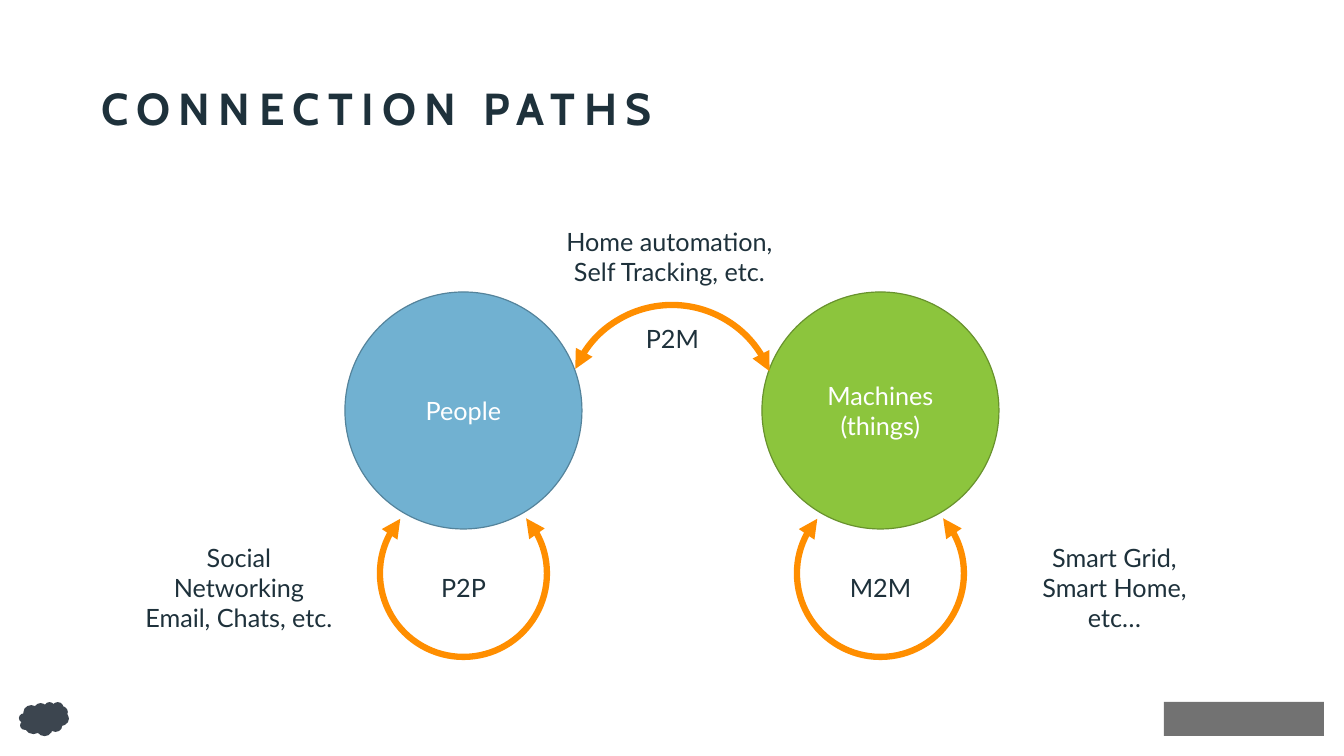
from lxml.etree import SubElement
from pptx import Presentation
from pptx.dml.color import RGBColor
from pptx.enum.shapes import MSO_SHAPE as SHAPE
from pptx.enum.text import MSO_ANCHOR as ANCHOR, MSO_AUTO_SIZE as FIT, PP_ALIGN as ALIGN
from pptx.oxml.ns import qn
from pptx.util import Emu, Pt

COLORS = {
    "dark": "1E313B", "white": "FFFFFF", "arrow": "FF8E00",
    "people": "71B1D1", "people_edge": "54839B",
    "machines": "8CC53D", "machines_edge": "68922D",
    "cloud": "3C454F", "badge": "727272",
}
LOOP = (191.209, 132.536)
BRIDGE = (121.774, 202.993)


def px(n):
    return Emu(round(n * 914400 / 100.8))


def box(*lengths):
    return [px(n) for n in lengths]


def color(name):
    return RGBColor.from_string(COLORS[name])


def write(tf, text, size=18, font="Lato", fill="dark", bold=False,
          align=ALIGN.CENTER, anchor=ANCHOR.MIDDLE, wrap=True, spacing=None, track=None):
    """Fill a text frame: newline starts a paragraph, \\v breaks a line."""
    tf.word_wrap = wrap
    tf.auto_size = FIT.NONE
    tf.vertical_anchor = anchor
    for i, line in enumerate(text.split("\n")):
        p = tf.paragraphs[0] if i == 0 else tf.add_paragraph()
        p.text = line
        p.alignment = align
        p.line_spacing = spacing
        for r in p.runs:
            r.font.size, r.font.name, r.font.bold = Pt(size), font, bold
            r.font.color.rgb = color(fill)
            if track:
                r.font._element.set("spc", str(track * 100))


def add_shape(s, kind, at, fill=None, line=None, width=0.85):
    sp = s.shapes.add_shape(kind, *box(*at))
    sp.shadow.inherit = False
    if fill:
        sp.fill.solid()
        sp.fill.fore_color.rgb = color(fill)
    else:
        sp.fill.background()
    if line:
        sp.line.color.rgb = color(line)
        sp.line.width = Pt(width)
    else:
        sp.line.fill.background()
    return sp


def add_circle(s, left, text, fill):
    sp = add_shape(s, SHAPE.OVAL, (left, 292, 237, 237), fill, fill + "_edge")
    write(sp.text_frame, text, fill="white")


def add_arc(s, left, top, size, angles, text):
    sp = add_shape(s, SHAPE.ARC, (left, top, size, size), line="arrow", width=4.5)
    for i, angle in enumerate(angles):
        sp.adjustments[i] = angle
    ln = sp.line._get_or_add_ln()
    for end in ("a:headEnd", "a:tailEnd"):
        SubElement(ln, qn(end), type="triangle")
    write(sp.text_frame, text)


def add_label(s, at, text):
    sp = s.shapes.add_textbox(*box(*at))
    write(sp.text_frame, text, anchor=ANCHOR.TOP, wrap=False)


def main():
    prs = Presentation()
    prs.slide_width, prs.slide_height = box(1344, 756)
    s = prs.slides.add_slide(prs.slide_layouts[5])

    # Corner marks
    add_shape(s, SHAPE.CLOUD, (19, 702, 50, 34), "cloud")
    add_shape(s, SHAPE.RECTANGLE, (1164, 702, 160, 34), "badge")

    # Title
    title = s.shapes.title
    title.left, title.top, title.width, title.height = box(91, 38, 1159, 146)
    write(title.text_frame, "CONNECTION PATHS", size=32, font="Cabin", bold=True,
          align=ALIGN.LEFT, spacing=0.9, track=6)

    # The two parties
    add_circle(s, 345, "People", "people")
    add_circle(s, 762, "Machines\v(things)", "machines")

    # Paths between them and back to themselves
    add_arc(s, 380, 490, 167, LOOP, "P2P")
    add_arc(s, 567, 305, 210, BRIDGE, "P2M")
    add_arc(s, 797, 490, 167, LOOP, "M2M")

    # Examples of each path
    add_label(s, (133, 537, 212, 102), "Social\vNetworking\nEmail, Chats, etc.")
    add_label(s, (556, 221, 227, 72), "Home automation,\nSelf Tracking, etc.")
    add_label(s, (1006, 537, 217, 102), "Smart Grid,\vSmart Home,\vetc…")

    prs.save("out.pptx")


if __name__ == "__main__":
    main()
